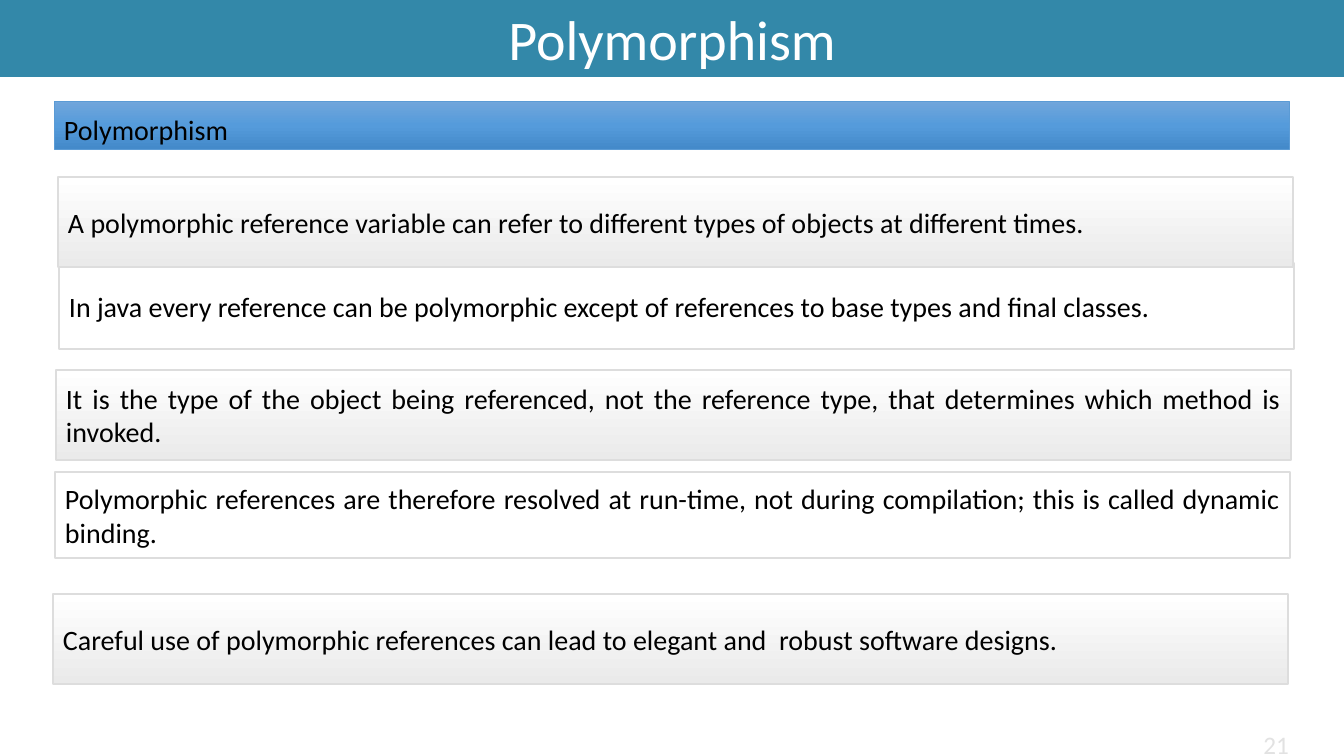
from pptx import Presentation
from pptx.util import Pt
from pptx.dml.color import RGBColor
from pptx.enum.shapes import MSO_SHAPE
from pptx.enum.text import PP_ALIGN, MSO_ANCHOR, MSO_AUTO_SIZE
from pptx.oxml.ns import qn
from lxml.etree import SubElement

HUES = {
    "band": "3388A9", "white": "FFFFFF", "black": "000000",
    "edge": "DDDDDD", "rim": "5B9BD5", "page": "E2E2E2",
}
GREY = [(0, "FFFFFF"), (100, "EAEAEA")]
BLUE = [(0, "71A6DB"), (50, "559BDB"), (100, "448ACA")]
UNIT = 914400 / 100.8


def px(*nums):
    return [round(n * UNIT) for n in nums]


def hue(name):
    return RGBColor.from_string(HUES[name])


class Deck:
    font = "Calibri"
    size = 20

    def __init__(self):
        self.prs = Presentation()
        self.prs.slide_width, self.prs.slide_height = px(1344, 756)
        self.slide = self.prs.slides.add_slide(self.prs.slide_layouts[5])

    def words(self, shape, text, color, size, align, pad):
        frame = shape.text_frame
        frame.text = text
        frame.word_wrap = True
        frame.auto_size = MSO_AUTO_SIZE.NONE
        frame.vertical_anchor = MSO_ANCHOR.MIDDLE
        frame.margin_left, frame.margin_right = px(pad[0], pad[0])
        frame.margin_top, frame.margin_bottom = px(pad[1], pad[1])
        para = frame.paragraphs[0]
        para.alignment = align
        font = para.runs[0].font
        font.name, font.size = self.font, Pt(size)
        font.color.rgb = hue(color)
        return para

    def title(self, text, *box):
        head = self.slide.shapes.title
        head.left, head.top, head.width, head.height = px(*box)
        head.fill.solid()
        head.fill.fore_color.rgb = hue("band")
        self.words(head, text, "white", 40, PP_ALIGN.CENTER, (10, 5))

    def shade(self, shape, stops):
        shape.fill.gradient()
        shape.fill.gradient_angle = 270
        group = shape._element.spPr.find(qn("a:gradFill")).find(qn("a:gsLst"))
        for stop in list(group):
            group.remove(stop)
        for spot, color in stops:
            stop = SubElement(group, qn("a:gs"), pos=str(spot * 1000))
            SubElement(stop, qn("a:srgbClr"), val=color)

    def panel(self, text, box, stops=None, edge="edge", width=1,
              align=PP_ALIGN.JUSTIFY):
        rect = self.slide.shapes.add_shape(MSO_SHAPE.RECTANGLE, *px(*box))
        rect.shadow.inherit = False
        if stops:
            self.shade(rect, stops)
        else:
            rect.fill.background()
        rect.line.color.rgb = hue(edge)
        rect.line.width = Pt(width)
        return self.words(rect, text, "black", self.size, align, (10, 10))

    def label(self, text, box, color, size):
        note = self.slide.shapes.add_textbox(*px(*box))
        self.words(note, text, color, size, PP_ALIGN.RIGHT, (0, 0))


deck = Deck()

# Title band
deck.title("Polymorphism", 0, 0, 1344, 77)

# Section heading
WIDE = 1235
para = deck.panel("Polymorphism", (54, 101, WIDE, 48), BLUE, "rim", 0.5,
                  PP_ALIGN.LEFT)
para.line_spacing = Pt(30)

# Statements: left, top, shaded, text
ROWS = [
    (59, 263, False, "In java every reference can be polymorphic except of "
     "references to base types and final classes."),
    (58, 177, True, "A polymorphic reference variable can refer to different "
     "types of objects at different times."),
    (56, 370, True, "It is the type of the object being referenced, not the "
     "reference type, that determines which method is invoked."),
    (55, 472, False, "Polymorphic references are therefore resolved at "
     "run-time, not during compilation; this is called dynamic binding."),
    (53, 594, True, "Careful use of polymorphic references can lead to "
     "elegant and  robust software designs."),
]
for left, top, dark, text in ROWS:
    deck.panel(text, (left, top, WIDE, 90 if dark else 86),
               GREY if dark else None)

# Page number
deck.label("21", (1189, 732, 100, 24), "page", 18)

deck.prs.save("out.pptx")
